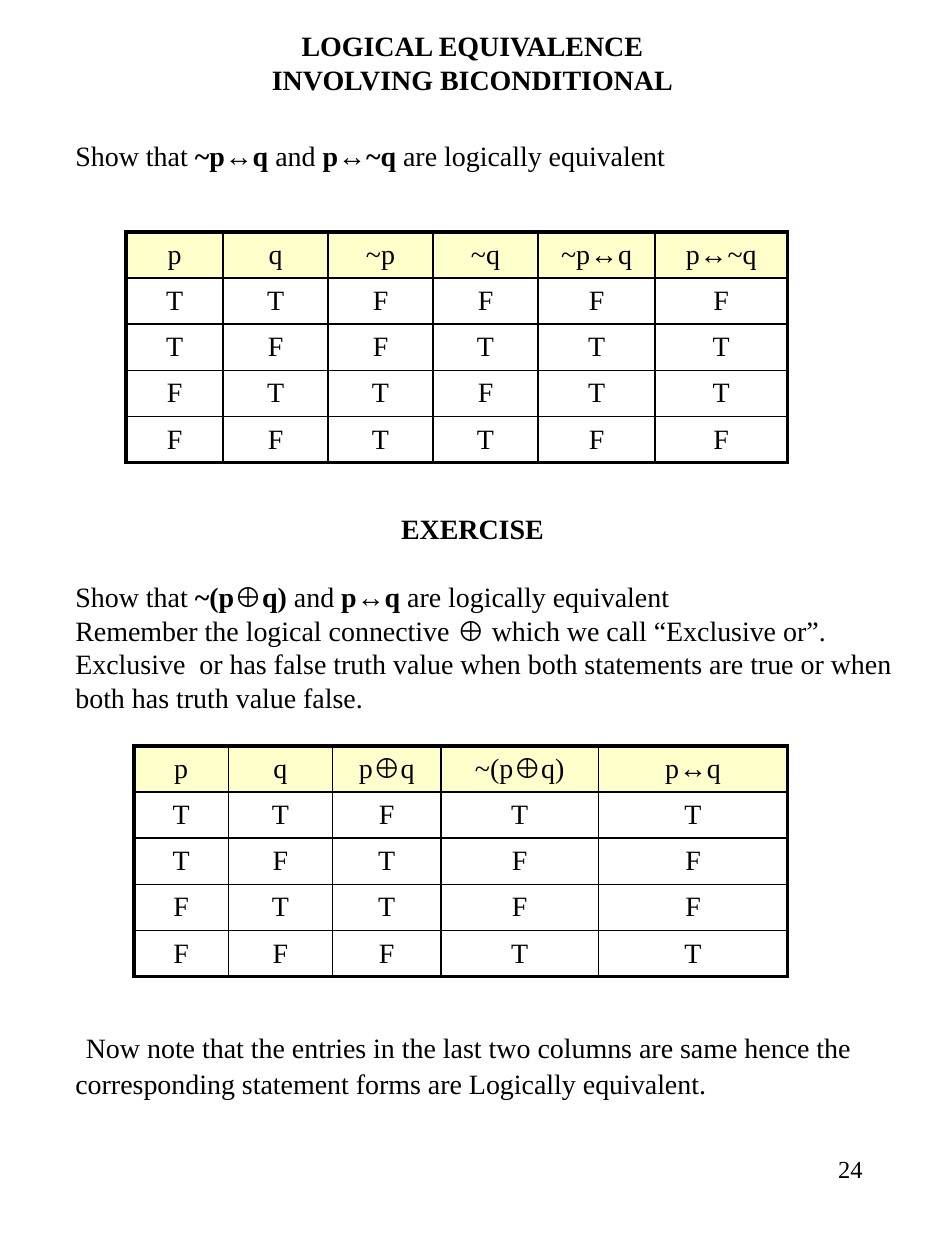
import pptx
import pptx.dml.color
import pptx.enum.text
import pptx.oxml.ns
import pptx.util
from lxml import etree

Pt = pptx.util.Pt
ALIGN = pptx.enum.text.PP_ALIGN
ANCHOR = pptx.enum.text.MSO_ANCHOR
BLACK = pptx.dml.color.RGBColor(0x00, 0x00, 0x00)
CREAM = pptx.dml.color.RGBColor(0xFF, 0xFF, 0xCC)
FONT = "Times New Roman"
ROW_HEIGHT = 26.4
INNER, OUTER = 1, 2.25

EQUIVALENCE = ["p q ~p ~q ~p↔q p↔~q", "T T F F F F", "T F F T T T",
               "F T T F T T", "F F T T F F"]
EXERCISE = ["p q p⊕q ~(p⊕q) p↔q", "T T F T T", "T F T F F",
            "F T T F F", "F F F T T"]


def add_run(p, text, size=16, bold=False):
    r = p.add_run()
    r.text = text
    r.font.name = FONT
    r.font.size = Pt(size)
    r.font.bold = bold
    r.font.color.rgb = BLACK


def write(p, text, size=16, bold=False, align=ALIGN.LEFT, before=0):
    """Fill a paragraph; stretches between asterisks are bold, newlines are breaks."""
    p.alignment = align
    p.space_before = Pt(before)
    for n, line in enumerate(text.split("\n")):
        if n:
            p.add_line_break()
        for i, part in enumerate(line.split("*")):
            if part:
                add_run(p, part, size, bold or i % 2 == 1)


def set_up_frame(tf, anchor):
    tf.word_wrap = True
    tf.auto_size = pptx.enum.text.MSO_AUTO_SIZE.NONE
    tf.vertical_anchor = anchor
    return tf


def add_text(s, left, top, width, height, text, anchor=ANCHOR.TOP, **fmt):
    box = s.shapes.add_textbox(Pt(left), Pt(top), Pt(width), Pt(height))
    tf = set_up_frame(box.text_frame, anchor)
    write(tf.paragraphs[0], text, **fmt)
    return tf


def add_indented(tf, text="", **fmt):
    p = tf.add_paragraph()
    write(p, text, **fmt)
    pPr = p._p.get_or_add_pPr()
    pPr.set("marL", str(Pt(36)))
    pPr.set("indent", "0")
    return p


def set_title(s, text):
    title = s.shapes.title
    title.left, title.top, title.width, title.height = Pt(40), Pt(4.5), Pt(460), Pt(62)
    tf = set_up_frame(title.text_frame, ANCHOR.MIDDLE)
    write(tf.paragraphs[0], text, bold=True, align=ALIGN.CENTER)


def set_borders(cell, **widths):
    """Draw the cell's sides; keywords L, R, T, B in that order give widths."""
    tcPr = cell._tc.get_or_add_tcPr()
    qn = pptx.oxml.ns.qn
    for side, width in widths.items():
        ln = etree.SubElement(tcPr, qn("a:ln" + side), w=str(Pt(width)))
        fill = etree.SubElement(ln, qn("a:solidFill"))
        etree.SubElement(fill, qn("a:srgbClr"), val=str(BLACK))


def add_truth_table(s, left, top, widths, lines):
    rows, cols = len(lines), len(widths)
    table = s.shapes.add_table(rows, cols, Pt(left), Pt(top), Pt(sum(widths)),
                               Pt(rows * ROW_HEIGHT)).table
    table.first_row = table.horz_banding = False
    for c, width in enumerate(widths):
        table.columns[c].width = Pt(width)
    for r, line in enumerate(lines):
        table.rows[r].height = Pt(ROW_HEIGHT)
        for c, text in enumerate(line.split()):
            cell = table.cell(r, c)
            cell.vertical_anchor = ANCHOR.MIDDLE
            write(cell.text_frame.paragraphs[0], text, align=ALIGN.CENTER)
            set_borders(cell,
                        L=OUTER if c == 0 else INNER,
                        R=OUTER if c == cols - 1 else INNER,
                        T=OUTER if r == 0 else INNER,
                        B=OUTER if r == rows - 1 else INNER)
            if r == 0:
                cell.fill.solid()
                cell.fill.fore_color.rgb = CREAM
            else:
                cell.fill.background()


def main():
    prs = pptx.Presentation()
    prs.slide_width, prs.slide_height = Pt(540), Pt(720)
    s = prs.slides.add_slide(prs.slide_layouts[5])

    add_text(s, 387.5, 656, 112.5, 48, "24", size=14, align=ALIGN.RIGHT)
    set_title(s, "LOGICAL EQUIVALENCE\nINVOLVING BICONDITIONAL")
    add_text(s, 0, 75.6, 540, 26.6,
             "\tShow that *~p↔q* and *p↔~q* are logically equivalent")
    add_truth_table(s, 72, 132.5, [55.5, 60, 60, 60, 67, 75.5], EQUIVALENCE)

    add_text(s, 0, 280, 540, 44, "EXERCISE", anchor=ANCHOR.MIDDLE,
             bold=True, align=ALIGN.CENTER)
    tf = add_text(s, 0, 327.6, 540, 305.3,
                  "\tShow that *~(p⊕q)* and *p↔q* are logically equivalent")
    add_indented(tf, "Remember the logical connective *⊕ *which we call “Exclusive or”. "
                     "Exclusive  or has false truth value when both statements are true "
                     "or when both has truth value false.")
    p = add_indented(tf, before=173)
    add_run(p, " ", size=24)
    add_run(p, "Now note that the entries in the last two columns are same hence the "
               "\tcorresponding statement forms are Logically equivalent.")
    add_truth_table(s, 76.5, 426.2, [54, 59.5, 62, 90, 108], EXERCISE)

    prs.save("out.pptx")


if __name__ == "__main__":
    main()
